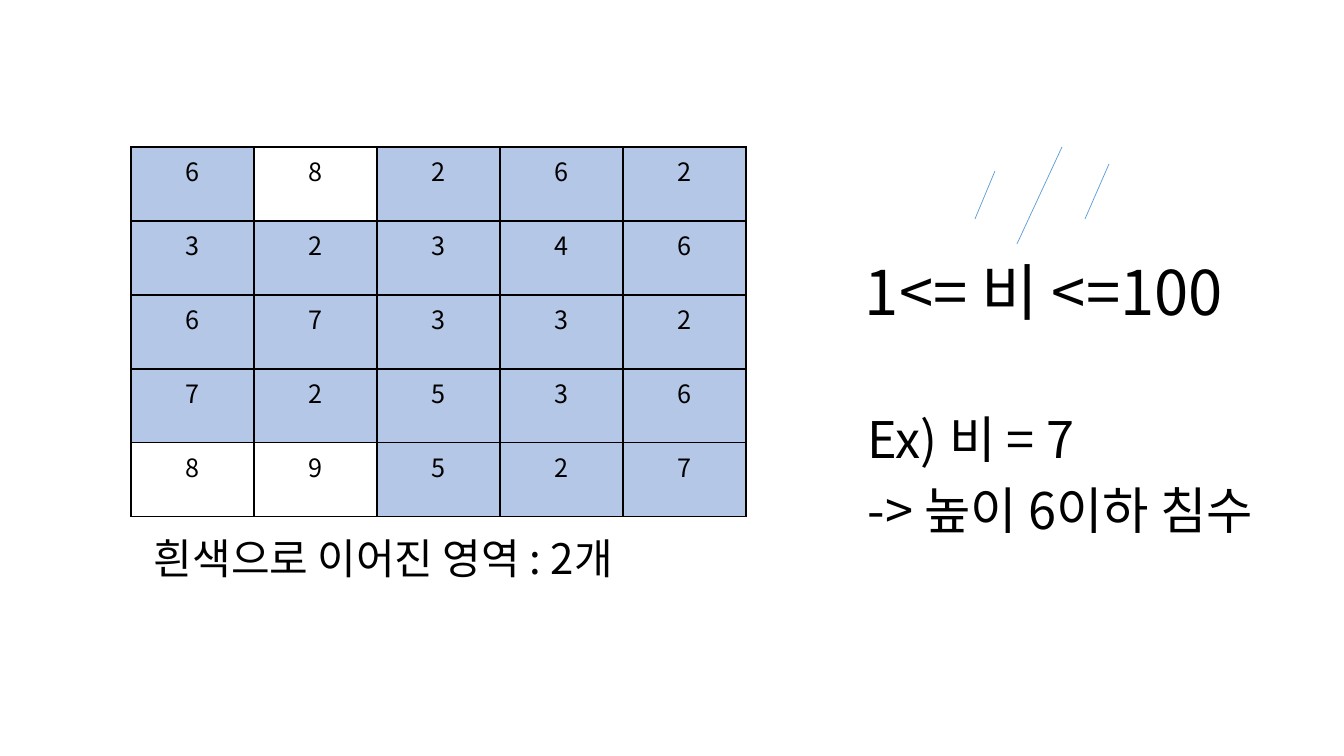
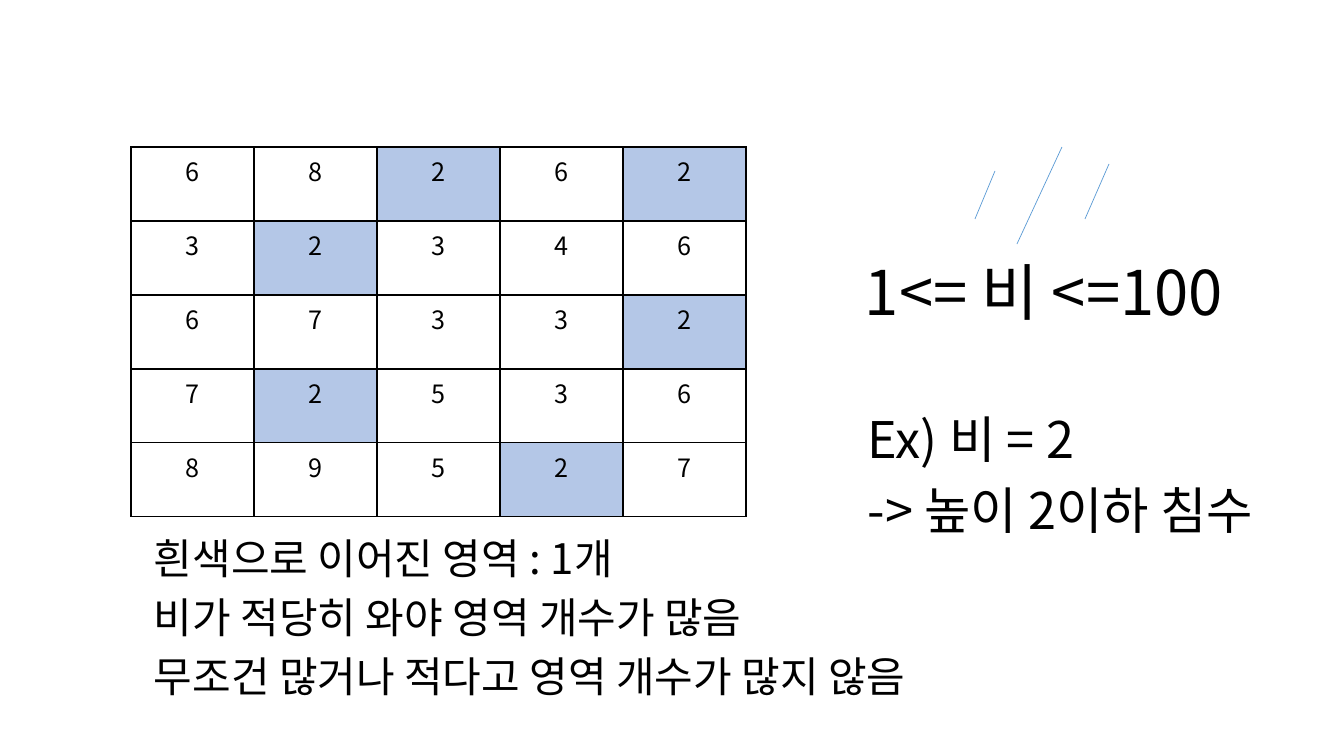
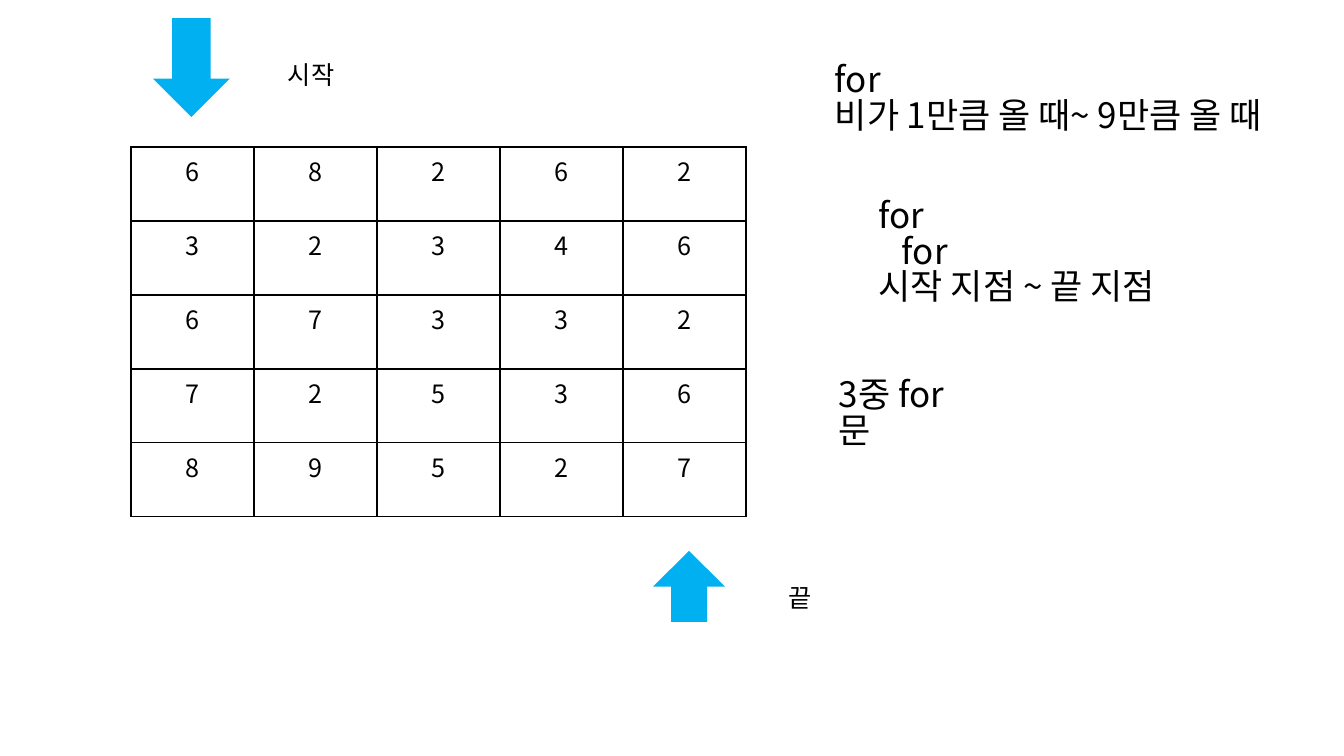
"""Build three slides on flooded areas of a height grid."""
from dataclasses import dataclass

from lxml.etree import SubElement
from pptx import Presentation
from pptx.dml.color import RGBColor
from pptx.enum.shapes import MSO_CONNECTOR, MSO_SHAPE
from pptx.enum.text import MSO_AUTO_SIZE, PP_ALIGN
from pptx.oxml.ns import qn
from pptx.util import Pt


@dataclass(frozen=True)
class Theme:
    font: str = "Noto Sans CJK KR"
    ink: RGBColor = RGBColor(0, 0, 0)
    water: RGBColor = RGBColor(0xB4, 0xC7, 0xE7)
    rain: RGBColor = RGBColor(0x5B, 0x9B, 0xD5)
    marker: RGBColor = RGBColor(0x00, 0xB0, 0xF0)
    range_size: int = 44
    example_size: int = 36
    note_size: int = 30
    code_size: int = 25
    small_size: int = 18
    spacing: float = 0.85


T = Theme()
EMU_PER_PX = 914400 / 100.8


def px(*values):
    return [round(v * EMU_PER_PX) for v in values]


def add_text(s, box, lines, size, indents=()):
    tf = s.shapes.add_textbox(*px(*box)).text_frame
    tf.word_wrap = True
    tf.auto_size = MSO_AUTO_SIZE.SHAPE_TO_FIT_TEXT
    tf.text = lines
    for p in tf.paragraphs:
        p.line_spacing = T.spacing
        for r in p.runs:
            r.font.size = Pt(size)
            r.font.name = T.font
            r.font.color.rgb = T.ink
            SubElement(r.font._element, qn("a:ea"), typeface=T.font)
    for row, indent in indents:
        tf.paragraphs[row]._p.get_or_add_pPr().set("marL", str(px(indent)[0]))


HEIGHTS = ["68262", "32346", "67332", "72536", "89527"]
COL_W, ROW_H = 123, 74
RAIN_LINES = [(1062, 147, 1017, 244), (1109, 164, 1085, 219), (995, 171, 975, 219)]

prs = Presentation()
prs.slide_width, prs.slide_height = px(1344, 756)

slides = []
for water_level in (7, 2, 0):
    s = prs.slides.add_slide(prs.slide_layouts[6])
    slides.append(s)
    grid = s.shapes.add_table(5, 5, *px(131, 147, 5 * COL_W, 5 * ROW_H)).table
    grid.first_row = grid.horz_banding = False
    for col in grid.columns:
        col.width = px(COL_W)[0]
    for row in grid.rows:
        row.height = px(ROW_H)[0]
    for cell, height in zip(grid.iter_cells(), "".join(HEIGHTS)):
        cell.text = height
        p = cell.text_frame.paragraphs[0]
        p.alignment = PP_ALIGN.CENTER
        font = p.runs[0].font
        font.size, font.name, font.color.rgb = Pt(T.small_size), T.font, T.ink
        tcPr = cell._tc.get_or_add_tcPr()
        for side in ("lnL", "lnR", "lnT", "lnB"):
            ln = SubElement(tcPr, qn(f"a:{side}"), w=str(Pt(1)))
            SubElement(SubElement(ln, qn("a:solidFill")), qn("a:srgbClr"), val=str(T.ink))
        if int(height) <= water_level:
            cell.fill.solid()
            cell.fill.fore_color.rgb = T.water
        else:
            cell.fill.background()

examples = [
    (7, 6, ["흰색으로 이어진 영역 : 2개"]),
    (2, 2, ["흰색으로 이어진 영역 : 1개",
            "비가 적당히 와야 영역 개수가 많음",
            "무조건 많거나 적다고 영역 개수가 많지 않음"]),
]
for s, (rain, flooded, notes) in zip(slides, examples):
    for ends in RAIN_LINES:
        drop = s.shapes.add_connector(MSO_CONNECTOR.STRAIGHT, *px(*ends))
        drop.line.color.rgb = T.rain
        drop.line.width = Pt(0.5)
        SubElement(drop._element.spPr, qn("a:effectLst"))
    add_text(s, (855, 260, 438, 85), "1<= 비 <=100", T.range_size)
    add_text(s, (858, 412, 254, 72), f"Ex) 비 = {rain}", T.example_size)
    add_text(s, (858, 483, 461, 72), f"-> 높이 {flooded}이하 침수", T.example_size)
    for i, note in enumerate(notes):
        add_text(s, (144, 535 + 59 * i, 873, 61), note, T.note_size)

s = slides[2]
for box, angle in [((153, 18, 77, 99), 0), ((653, 551, 72, 71), 180)]:
    arrow = s.shapes.add_shape(MSO_SHAPE.DOWN_ARROW, *px(*box))
    arrow.rotation = angle
    arrow.shadow.inherit = False
    arrow.fill.solid()
    arrow.fill.fore_color.rgb = T.marker
    arrow.line.fill.background()
add_text(s, (825, 59, 512, 95), "for\n비가 1만큼 올 때~ 9만큼 올 때", T.code_size)
add_text(s, (869, 195, 342, 137), "for\nfor\n시작 지점 ~ 끝 지점", T.code_size, [(1, 23)])
add_text(s, (278, 59, 72, 40), "시작", T.small_size)
add_text(s, (779, 582, 46, 40), "끝", T.small_size)
add_text(s, (829, 374, 150, 52), "3중 for문", T.code_size)

prs.save("out.pptx")
